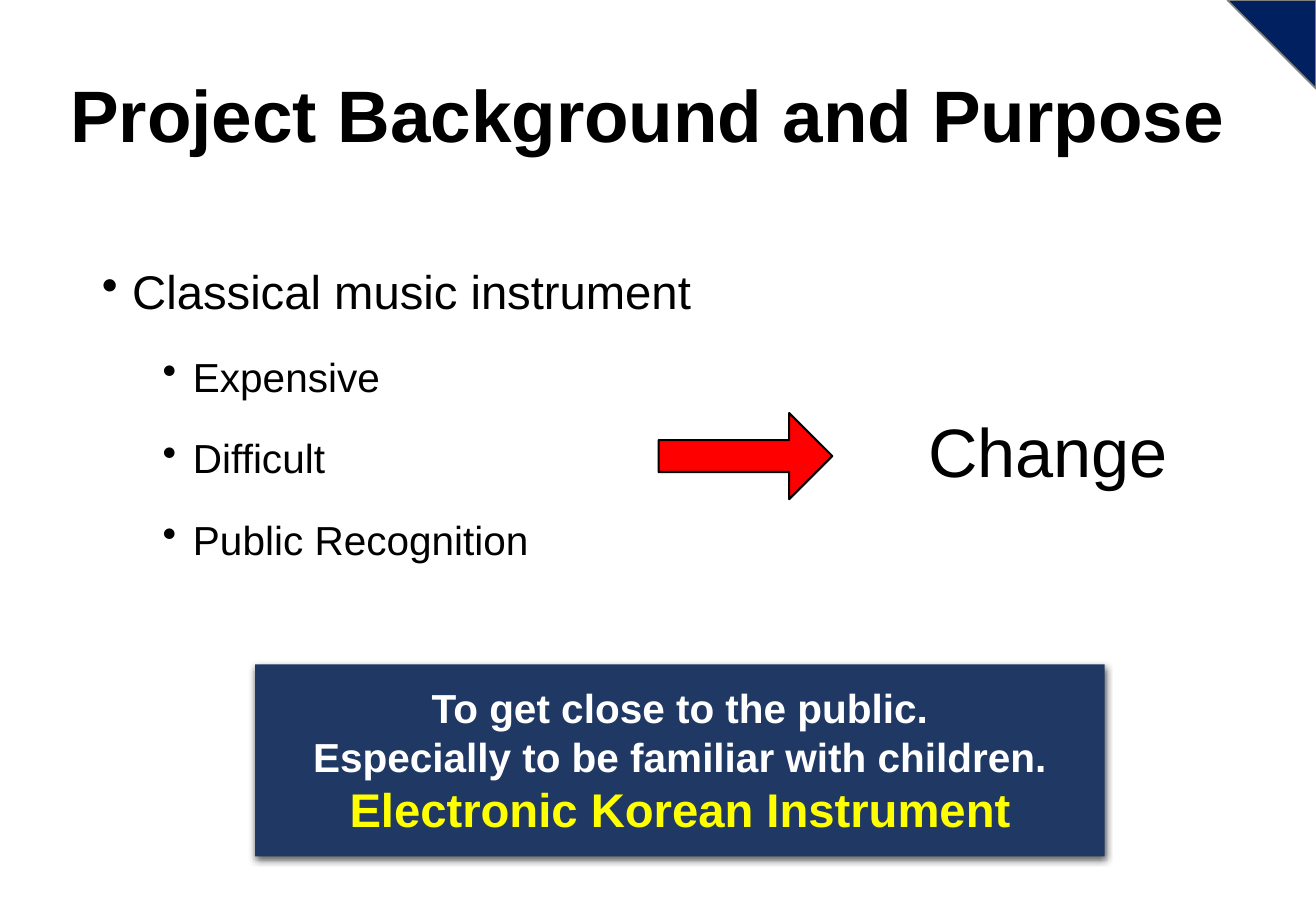
from lxml import etree
from pptx import Presentation
from pptx.dml.color import RGBColor
from pptx.enum.shapes import MSO_SHAPE
from pptx.enum.text import MSO_ANCHOR, PP_ALIGN
from pptx.oxml.ns import qn
from pptx.util import Inches, Pt

TRIANGLE = MSO_SHAPE.RIGHT_TRIANGLE
ARROW = MSO_SHAPE.RIGHT_ARROW
RECTANGLE = MSO_SHAPE.RECTANGLE
MIDDLE = MSO_ANCHOR.MIDDLE
TOP = MSO_ANCHOR.TOP
LEFT = PP_ALIGN.LEFT
CENTER = PP_ALIGN.CENTER
FONT = "Arial"
BLACK = "000000"


def color(value):
    return RGBColor.from_string(value)


def add_filled_shape(page, kind, place, fill, line=None, line_width=1):
    shape = page.shapes.add_shape(kind, *map(Inches, place))
    shape.shadow.inherit = False
    shape.fill.solid()
    shape.fill.fore_color.rgb = color(fill)
    if line:
        shape.line.color.rgb = color(line)
        shape.line.width = Pt(line_width)
    else:
        shape.line.fill.background()
    return shape


def add_drop_shadow(shape):
    effects = shape._element.spPr.find(qn("a:effectLst"))
    shadow = etree.SubElement(
        effects, qn("a:outerShdw"), blurRad=str(Pt(4.5)), dist=str(Pt(1.5)),
        dir="5400000", algn="ctr", rotWithShape="0")
    shade = etree.SubElement(shadow, qn("a:srgbClr"), val=BLACK)
    etree.SubElement(shade, qn("a:alpha"), val="63000")


def add_text_box(page, place, anchor):
    box = page.shapes.add_textbox(*map(Inches, place))
    box.text_frame.word_wrap = True
    box.text_frame.vertical_anchor = anchor
    return box.text_frame


def write_line(frame, text, size, ink=BLACK, bold=False, align=LEFT, spacing=1.0):
    para = frame.paragraphs[0]
    if para.runs:
        para = frame.add_paragraph()
    para.add_run().text = text
    para.alignment = align
    para.line_spacing = spacing
    para.font.name = FONT
    para.font.size = Pt(size)
    para.font.bold = bold
    para.font.color.rgb = color(ink)
    return para


def write_bullet(frame, text, level, size, space_before):
    para = write_line(frame, text, size, spacing=1.5)
    para.level = level
    para.space_before = Pt(space_before)
    properties = para._p.get_or_add_pPr()
    properties.set("marL", str(Inches(0.25 + 0.5 * level)))
    properties.set("indent", str(Inches(-0.25)))
    bullet = etree.Element(qn("a:buChar"), char="•")
    properties.find(qn("a:defRPr")).addprevious(bullet)


def add_background_list(page):
    frame = add_text_box(page, (0.74, 1.88, 9.34, 4.76), TOP)
    write_bullet(frame, "Classical music instrument", 0, 28, 10)
    for problem in ("Expensive", "Difficult", "Public Recognition"):
        write_bullet(frame, problem, 1, 24, 5)


def add_purpose_panel(page):
    panel = add_filled_shape(page, RECTANGLE, (2.1, 5.47, 6.99, 1.58), "203864")
    add_drop_shadow(panel)
    frame = panel.text_frame
    frame.word_wrap = True
    frame.vertical_anchor = MIDDLE
    for text, size, ink in (
        ("To get close to the public.", 24, "FFFFFF"),
        ("Especially to be familiar with children.", 24, "FFFFFF"),
        ("Electronic Korean Instrument", 28, "FFFF00"),
    ):
        write_line(frame, text, size, ink, bold=True, align=CENTER)


def main():
    deck = Presentation()
    deck.slide_width = Inches(10.83)
    deck.slide_height = Inches(7.5)
    page = deck.slides.add_slide(deck.slide_layouts[6])

    corner = add_filled_shape(page, TRIANGLE, (10.1, 0, 0.73, 0.73), "002060", "808080")
    corner.rotation = 180

    add_background_list(page)

    arrow = add_filled_shape(page, ARROW, (5.42, 3.4, 1.43, 0.71), "FF0000", BLACK, 1.25)
    arrow.adjustments[0] = 0.37
    arrow.adjustments[1] = 0.5

    change = add_text_box(page, (7.28, 2.92, 2.69, 1.66), MIDDLE)
    write_line(change, "Change", 40.6, align=CENTER, spacing=0.9)

    title = add_text_box(page, (0.48, 0.27, 9.88, 1.42), MIDDLE)
    write_line(title, "Project Background and Purpose", 43.2, bold=True, spacing=0.9)

    add_purpose_panel(page)
    deck.save("out.pptx")


if __name__ == "__main__":
    main()
